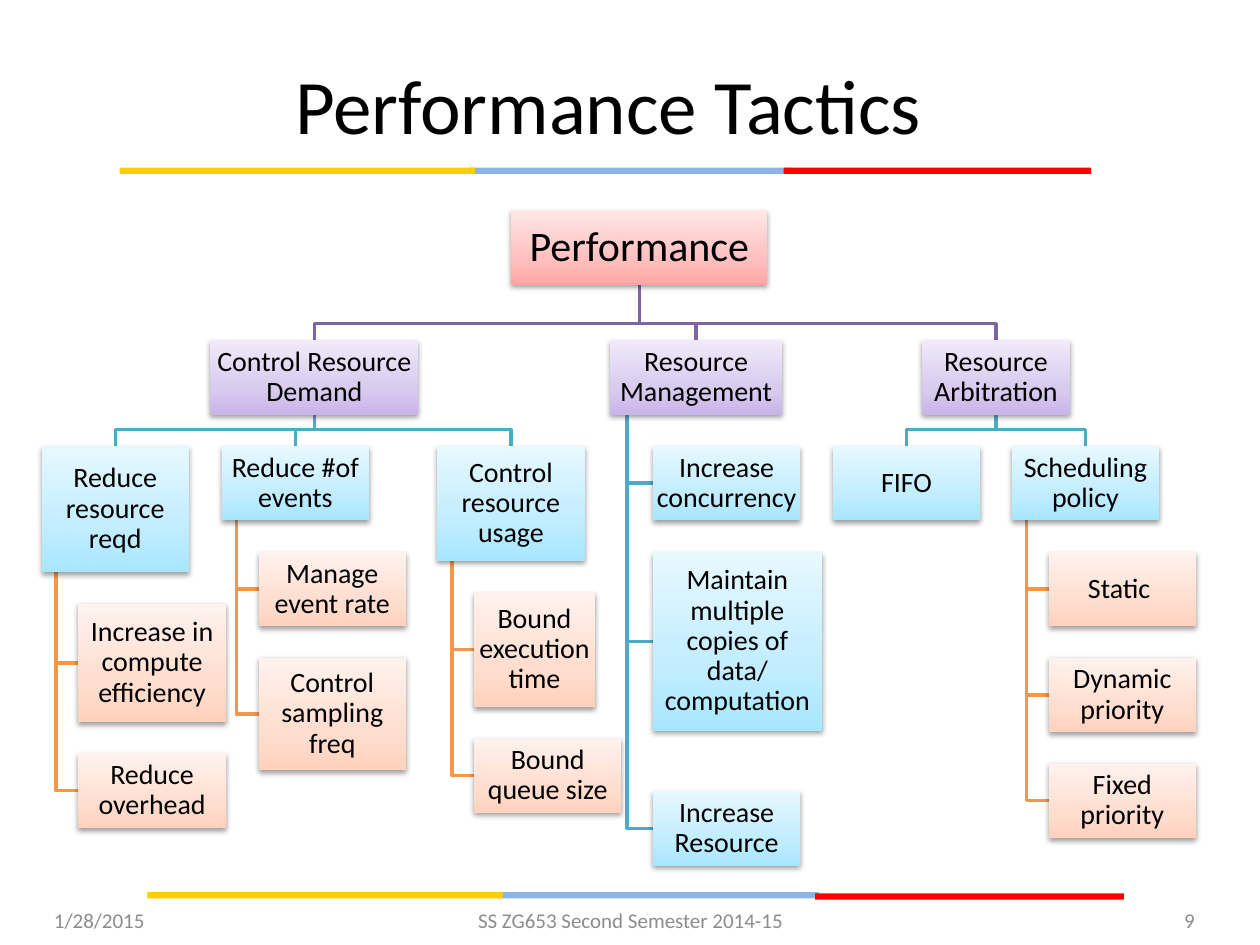
from dataclasses import dataclass
from typing import Iterator

from lxml import etree
from pptx import Presentation
from pptx.dml.color import RGBColor
from pptx.enum.shapes import MSO_SHAPE
from pptx.enum.text import MSO_ANCHOR, PP_ALIGN
from pptx.oxml import parse_xml
from pptx.oxml.ns import nsdecls, qn
from pptx.util import Inches, Pt

RECTANGLE = MSO_SHAPE.RECTANGLE
MIDDLE = MSO_ANCHOR.MIDDLE
LEFT, CENTER, RIGHT = PP_ALIGN.LEFT, PP_ALIGN.CENTER, PP_ALIGN.RIGHT

FONT = "Calibri"
BLACK, GRAY = "000000", "8C8C8C"
YELLOW, BLUE, RED = "FFCE00", "8EB4E3", "FF0000"
# Per tree level: gradient from bottom to top, and the line leading to the box
GRADIENTS = [
    ("FFA6A5", "FFC0BF", "FFE7E7"),
    ("C9B5E8", "D8CBEE", "F0EAF9"),
    ("A7E6FF", "C1EDFF", "E7F8FF"),
    ("FFD2BD", "FFDED0", "FFF2ED"),
]
GRADIENT_STOPS = (0, 35, 100)
LINE_COLORS = ["", "8064A2", "4BACC6", "F79646"]
ROOT_TOP = 1.67
ELBOW_RISE = 0.13


@dataclass
class Node:
    text: str
    left: float = 0  # hanging boxes take theirs from the parent
    width: float = 1.17
    height: float = 0.59
    gap: float = 0.25  # distance from the box above
    hanging: bool = False  # children hang in a column under the left edge
    children: tuple["Node", ...] = ()
    top: float = 0
    level: int = 0

    @property
    def bottom(self) -> float:
        return self.top + self.height

    @property
    def center(self) -> float:
        return self.left + self.width / 2


TREE = Node("Performance", 4.06, 2.03, children=(
    Node("Control Resource Demand", 1.67, 1.65, gap=0.44, children=(
        Node("Reduce resource reqd", 0.33, height=1, hanging=True, children=(
            Node("Increase in compute efficiency", height=0.94),
            Node("Reduce overhead"),
        )),
        Node("Reduce #of events", 1.76, hanging=True, children=(
            Node("Manage event rate"),
            Node("Control sampling freq", height=0.89),
        )),
        Node("Control resource usage", 3.47, height=0.91, hanging=True, children=(
            Node("Bound execution time", width=0.96, height=0.91),
            Node("Bound queue size"),
        )),
    )),
    Node("Resource Management", 4.84, 1.37, gap=0.44, hanging=True, children=(
        Node("Increase concurrency"),
        Node("Maintain multiple copies of data/ computation", width=1.34, height=1.42),
        Node("Increase Resource", gap=0.48),
    )),
    Node("Resource Arbitration", 7.32, gap=0.44, children=(
        Node("FIFO", 6.61),
        Node("Scheduling policy", 8.03, hanging=True, children=(
            Node("Static "),
            Node("Dynamic priority"),
            Node("Fixed priority"),
        )),
    )),
))


def color(value: str) -> RGBColor:
    return RGBColor.from_string(value)


def write(box, text: str, *, size: float, fill: str = BLACK, align=CENTER,
          inset: float | None = None, spacing: float | None = None) -> None:
    frame = box.text_frame
    frame.word_wrap = True
    frame.vertical_anchor = MIDDLE
    if inset is not None:
        frame.margin_left = frame.margin_right = Inches(inset)
        frame.margin_top = frame.margin_bottom = Inches(inset)
    para = frame.paragraphs[0]
    para.alignment = align
    if spacing is not None:
        para.line_spacing = spacing
    span = para.add_run()
    span.text = text
    span.font.name = FONT
    span.font.size = Pt(size)
    span.font.color.rgb = color(fill)


def add_label(page, text: str, left: float, top: float, width: float,
              height: float, **text_format) -> None:
    box = page.shapes.add_textbox(Inches(left), Inches(top), Inches(width), Inches(height))
    write(box, text, **text_format)


def add_rectangle(page, left: float, top: float, width: float, height: float):
    box = page.shapes.add_shape(RECTANGLE, Inches(left), Inches(top),
                                Inches(width), Inches(height))
    box.line.fill.background()
    box.shadow.inherit = False
    return box


def add_stripe(page, segments: list[tuple[float, float, float, str]]) -> None:
    for left, top, width, fill in segments:
        bar = add_rectangle(page, left, top, width, 0.05)
        bar.fill.solid()
        bar.fill.fore_color.rgb = color(fill)


def add_gradient_and_shadow(box, colors: tuple[str, ...]) -> None:
    stops = "".join(
        f'<a:gs pos="{stop * 1000}"><a:srgbClr val="{value}"/></a:gs>'
        for stop, value in zip(GRADIENT_STOPS, colors))
    properties = box._element.spPr
    properties.find(qn("a:prstGeom")).addnext(parse_xml(
        f'<a:gradFill {nsdecls("a")} rotWithShape="1"><a:gsLst>{stops}</a:gsLst>'
        '<a:lin ang="16200000" scaled="0"/></a:gradFill>'))
    shadow = etree.SubElement(properties.find(qn("a:effectLst")), qn("a:outerShdw"),
                              blurRad="40000", dist="20000", dir="5400000", rotWithShape="0")
    shade = etree.SubElement(shadow, qn("a:srgbClr"), val=BLACK)
    etree.SubElement(shade, qn("a:alpha"), val="38000")


def place_children(parent: Node) -> None:
    above = parent.bottom
    for child in parent.children:
        child.level = parent.level + 1
        child.top = above + child.gap
        if parent.hanging:
            child.left = parent.left + parent.width / 4
            above = child.bottom
        place_children(child)


def walk(node: Node) -> Iterator[Node]:
    yield node
    for child in node.children:
        yield from walk(child)


def add_branch(page, parent: Node, child: Node) -> None:
    if parent.hanging:
        trunk = parent.left + parent.width / 10
        middle = child.top + child.height / 2
        points = [(trunk, parent.bottom), (trunk, middle), (child.left, middle)]
    else:
        elbow = child.top - ELBOW_RISE
        points = [(parent.center, parent.bottom), (parent.center, elbow),
                  (child.center, elbow), (child.center, child.top)]
    start, *rest = [(Inches(x), Inches(y)) for x, y in points]
    builder = page.shapes.build_freeform(*start)
    builder.add_line_segments(rest, close=False)
    branch = builder.convert_to_shape()
    branch.fill.background()
    branch.line.color.rgb = color(LINE_COLORS[child.level])
    branch.line.width = Pt(2)
    branch.shadow.inherit = False


def add_node(page, node: Node) -> None:
    box = add_rectangle(page, node.left, node.top, node.width, node.height)
    add_gradient_and_shadow(box, GRADIENTS[node.level])
    is_root = node.level == 0
    write(box, node.text, size=24 if is_root else 16,
          inset=0.02 if is_root else 0.01, spacing=0.9)


def main() -> None:
    deck = Presentation()
    deck.slide_width, deck.slide_height = Inches(10), Inches(7.5)
    page = deck.slides.add_slide(deck.slide_layouts[6])

    # Title and coloured stripes
    add_stripe(page, [(3.73, 1.33, 2.55, BLUE), (6.22, 1.33, 2.44, RED),
                      (0.95, 1.33, 2.82, YELLOW)])
    add_stripe(page, [(3.95, 7.08, 2.55, BLUE), (6.47, 7.09, 2.45, RED),
                      (1.17, 7.08, 2.82, YELLOW)])
    add_label(page, "Performance Tactics", 0.33, 0.31, 9, 1.03, size=44)

    # Tree: branches behind, boxes in front
    TREE.top = ROOT_TOP
    place_children(TREE)
    nodes = list(walk(TREE))
    for parent in nodes:
        for child in parent.children:
            add_branch(page, parent, child)
    for node in nodes:
        add_node(page, node)

    # Footer
    for text, left, width, align in [
        ("1/28/2015", 0.33, 2.33, LEFT),
        ("SS ZG653 Second Semester 2014-15", 3.42, 3.17, CENTER),
        ("9", 7.25, 2.33, RIGHT),
    ]:
        add_label(page, text, left, 7.1, width, 0.4, size=12, fill=GRAY, align=align)

    deck.save("out.pptx")


if __name__ == "__main__":
    main()
